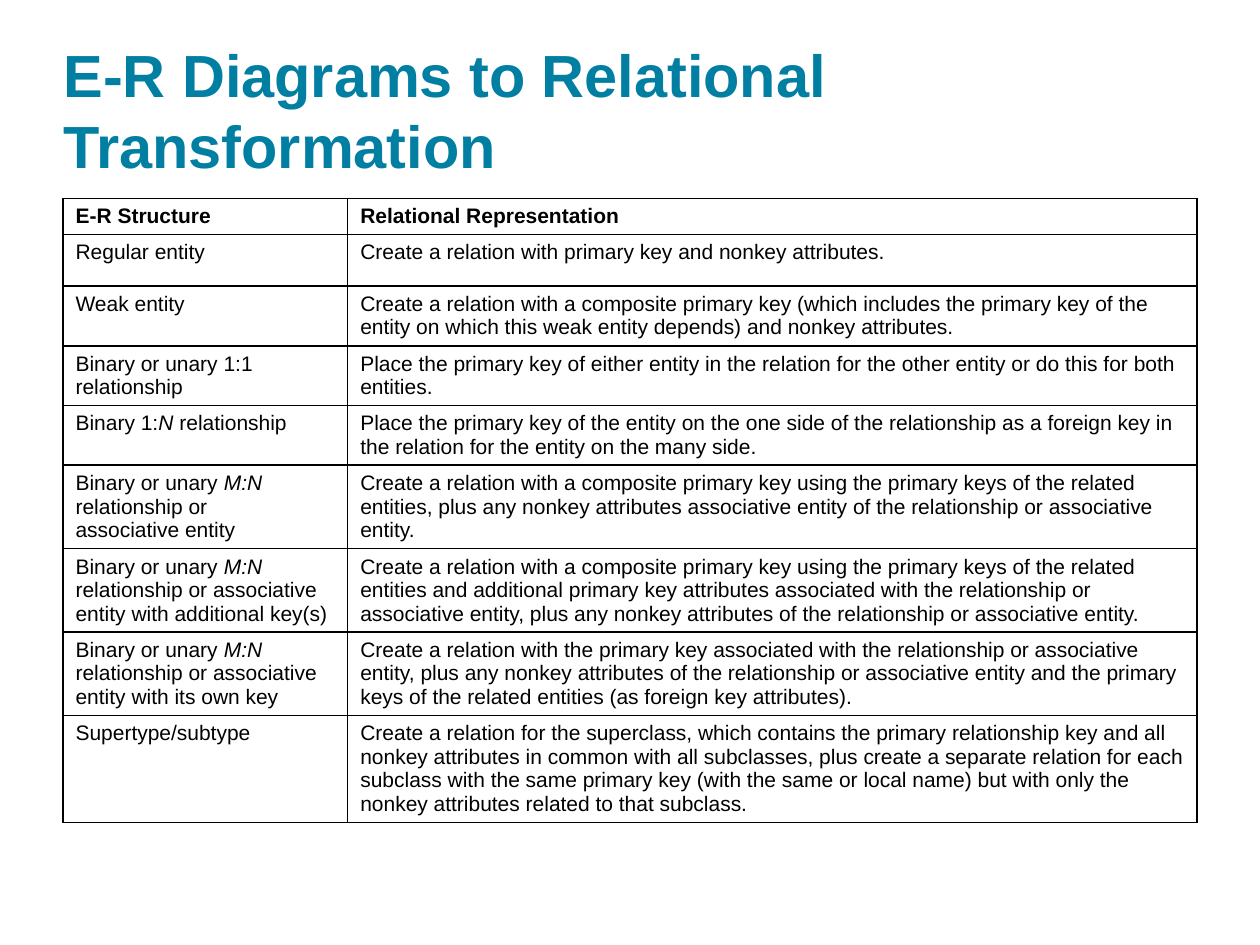
import pptx
import pptx.util
import pptx.dml.color
import pptx.enum.text
import pptx.oxml
import pptx.oxml.ns

Cm = pptx.util.Cm
Pt = pptx.util.Pt
COLORS = {"title": "007FA3", "text": "000000", "line": "000000"}
LINES = (1, 1, 2, 2, 2, 3, 3, 3, 4)
ROWS = [
    ("E-R Structure", "Relational Representation"),
    ("Regular entity", "Create a relation with primary key and nonkey attributes."),
    ("Weak entity",
     "Create a relation with a composite primary key (which includes the primary key of the "
     "entity on which this weak entity depends) and nonkey attributes."),
    ("Binary or unary 1:1 relationship",
     "Place the primary key of either entity in the relation for the other entity or do this "
     "for both entities."),
    ("Binary 1:*N *relationship",
     "Place the primary key of the entity on the one side of the relationship as a foreign key "
     "in the relation for the entity on the many side."),
    ("Binary or unary *M:N*\nrelationship or\nassociative entity",
     "Create a relation with a composite primary key using the primary keys of the related "
     "entities, plus any nonkey attributes associative entity of the relationship or "
     "associative entity."),
    ("Binary or unary *M:N*\nrelationship or associative entity with additional key(s)",
     "Create a relation with a composite primary key using the primary keys of the related "
     "entities and additional primary key attributes associated with the relationship or "
     "associative entity, plus any nonkey attributes of the relationship or associative entity."),
    ("Binary or unary *M:N*\nrelationship or associative entity with its own key",
     "Create a relation with the primary key associated with the relationship or associative "
     "entity, plus any nonkey attributes of the relationship or associative entity and the "
     "primary keys of the related entities (as foreign key attributes)."),
    ("Supertype/subtype",
     "Create a relation for the superclass, which contains the primary relationship key and all "
     "nonkey attributes in common with all subclasses, plus create a separate relation for each "
     "subclass with the same primary key (with the same or local name) but with only the nonkey "
     "attributes related to that subclass."),
]


def write(frame, text, size=12, color="text", bold=False):
    """Fill a text frame, one paragraph a line, with *starred* parts in italics."""
    for i, line in enumerate(text.split("\n")):
        para = frame.add_paragraph() if i else frame.paragraphs[0]
        for j, part in enumerate(line.split("*")):
            if part:
                run = para.add_run()
                run.text = part
                font = run.font
                font.name = "Arial"
                font.size = Pt(size)
                font.bold = bold
                font.italic = j % 2 == 1
                font.color.rgb = pptx.dml.color.RGBColor.from_string(COLORS[color])


def border(cell):
    """Draw a thin line on all four sides of a cell."""
    props = cell._tc.get_or_add_tcPr()
    for side in "LRTB":
        props.append(pptx.oxml.parse_xml(
            f'<a:ln{side} {pptx.oxml.ns.nsdecls("a")} w="{Pt(1)}"><a:solidFill>'
            f'<a:srgbClr val="{COLORS["line"]}"/></a:solidFill></a:ln{side}>'))


def title(slide, text):
    """Add the heading, resting on the bottom of its box."""
    frame = slide.shapes.add_textbox(Cm(1.28), Cm(0.59), Cm(22.86), Cm(3.05)).text_frame
    frame.word_wrap = True
    frame.vertical_anchor = pptx.enum.text.MSO_ANCHOR.BOTTOM
    frame.margin_left = frame.margin_right = frame.margin_top = frame.margin_bottom = 0
    write(frame, text, size=34, color="title", bold=True)


def grid(slide, rows):
    """Add the ruled table with a bold first row and less foot room in taller rows."""
    shape = slide.shapes.add_table(len(rows), 2, Cm(1.27), Cm(4), Cm(22.86), Cm(8.9))
    table = shape.table
    table.first_row = table.horz_banding = False
    for col, width in zip(table.columns, (5.74, 17.12)):
        col.width = Cm(width)
    for i, (row, lines) in enumerate(zip(rows, LINES)):
        table.rows[i].height = Cm(1.04 if i else 0.58)
        for j, text in enumerate(row):
            cell = table.cell(i, j)
            cell.margin_bottom = Cm(0.03 * (max(LINES) - lines))
            border(cell)
            cell.fill.background()
            write(cell.text_frame, text, bold=i == 0)


def main():
    """Build and save the slide."""
    deck = pptx.Presentation()
    deck.slide_width, deck.slide_height = Cm(25.4), Cm(19.05)
    slide = deck.slides.add_slide(deck.slide_layouts[6])
    title(slide, "E-R Diagrams to Relational Transformation")
    grid(slide, ROWS)
    deck.save("out.pptx")


if __name__ == "__main__":
    main()
